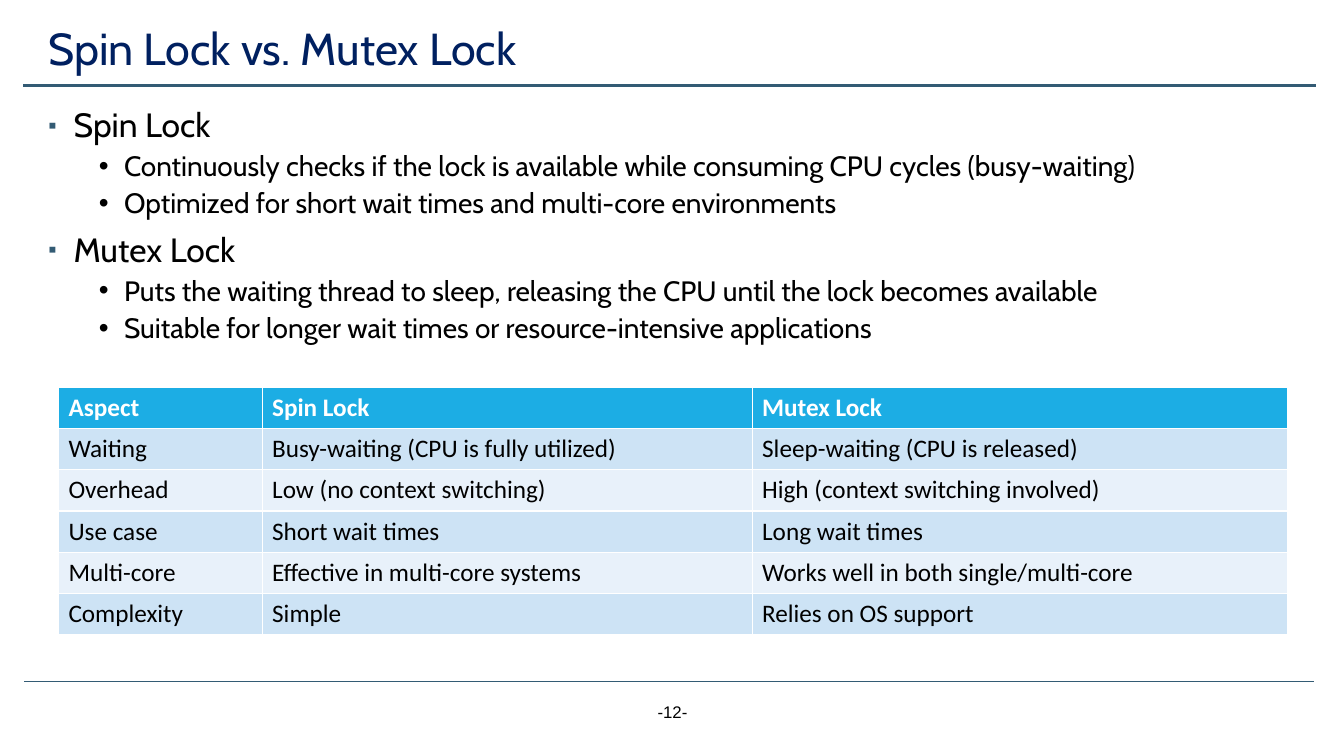
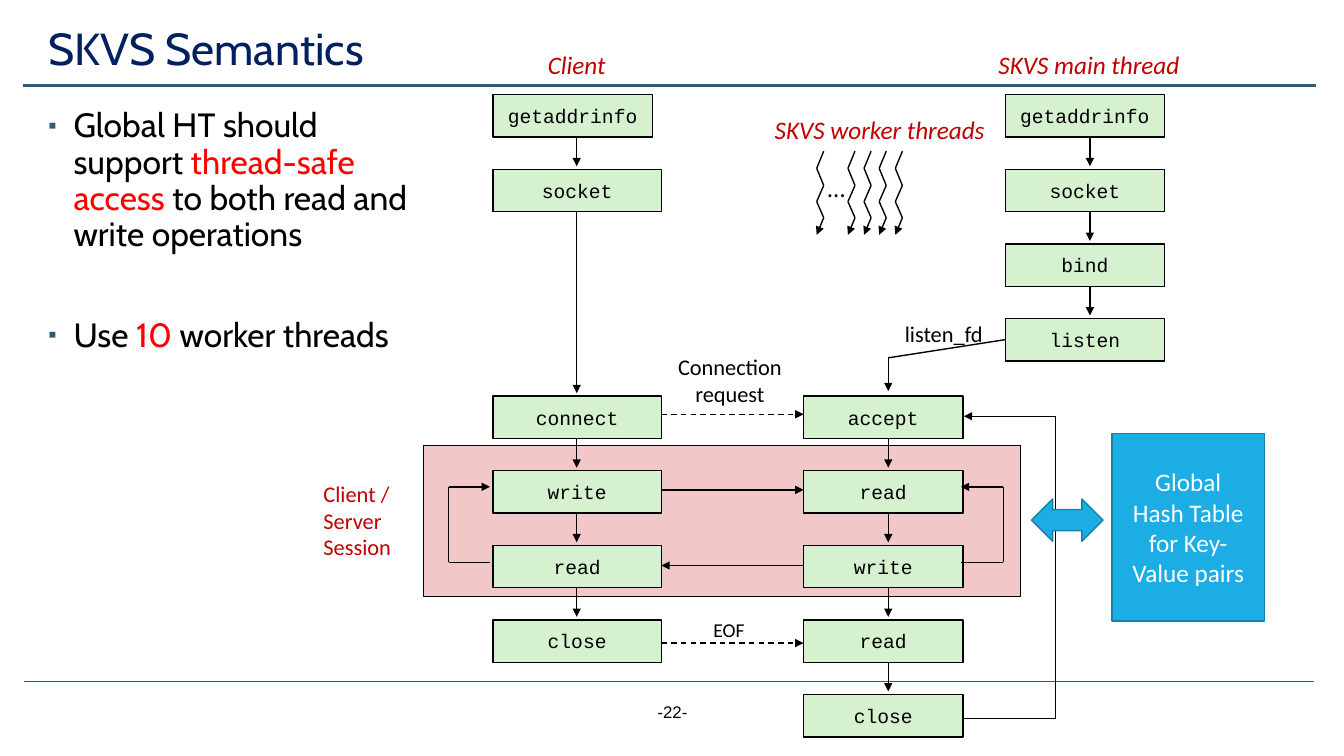
from itertools import pairwise

from lxml.etree import SubElement
from pptx import Presentation
from pptx.dml.color import RGBColor
from pptx.enum.dml import MSO_LINE
from pptx.enum.shapes import MSO_CONNECTOR, MSO_SHAPE
from pptx.enum.text import MSO_ANCHOR, MSO_AUTO_SIZE, PP_ALIGN
from pptx.oxml.ns import qn
from pptx.util import Emu, Pt

PX = 9144
SLIDE_SIZE = (1333, 750)

BLACK = RGBColor(0x00, 0x00, 0x00)
WHITE = RGBColor(0xFF, 0xFF, 0xFF)
NAVY = RGBColor(0x00, 0x20, 0x60)
SLATE = RGBColor(0x33, 0x5B, 0x74)
RED = RGBColor(0xFF, 0x00, 0x00)
CRIMSON = RGBColor(0xC0, 0x00, 0x00)
CYAN = RGBColor(0x1C, 0xAD, 0xE4)
CYAN_EDGE = RGBColor(0x15, 0x80, 0xA9)
GREEN = RGBColor(0xD5, 0xF1, 0xCF)
PINK = RGBColor(0xF1, 0xC7, 0xC7)
BANDS = (RGBColor(0xCD, 0xE3, 0xF5), RGBColor(0xE8, 0xF1, 0xFA))

TITLE_BOX = (38, 19, 1243, 63)
BODY_BOX = (38, 103, 1243, 562)
NARROW_BODY_BOX = (38, 103, 398, 562)
NUMBER_BOX = (517, 691, 300, 40)
RULES = [((24, 676), (1303, 676), 0.5), ((23, 85), (1305, 85), 1.75)]

TITLE_FONT = {"name": "Cabin", "size": Pt(32), "color": NAVY}
NUMBER_FONT = {"name": "Arial", "size": Pt(12), "color": BLACK}
CELL_FONT = {"name": "Calibri", "size": Pt(18), "color": BLACK, "bold": False}
HEADER_FONT = CELL_FONT | {"color": WHITE, "bold": True}
CODE_FONT = {"name": "Courier New", "size": Pt(14), "color": BLACK}
LABEL_FONT = {"name": "Calibri", "size": Pt(16), "color": BLACK}
SESSION_FONT = LABEL_FONT | {"color": CRIMSON}
SMALL_FONT = LABEL_FONT | {"size": Pt(14)}
DOTS_FONT = LABEL_FONT | {"size": Pt(18)}
HEADING_FONT = DOTS_FONT | {"color": CRIMSON, "italic": True}
HASH_FONT = DOTS_FONT | {"color": WHITE}

LEVELS = [
    {"margin": 25, "size": 24, "before": 10, "bullet": "▪", "color": SLATE, "percent": 70},
    {"margin": 75, "size": 20, "before": 5, "bullet": "•", "color": BLACK, "percent": 100},
]

LOCK_POINTS = [
    (0, [("Spin Lock", BLACK)], None),
    (1, [("Continuously checks if the lock is available while consuming CPU cycles (busy-waiting)", BLACK)], None),
    (1, [("Optimized for short wait times and multi-core environments", BLACK)], None),
    (0, [("Mutex Lock", BLACK)], None),
    (1, [("Puts the waiting thread to sleep, releasing the CPU until the lock becomes available", BLACK)], None),
    (1, [("Suitable for longer wait times or resource-intensive applications", BLACK)], None),
]
THREAD_POINTS = [
    (0, [("Global HT should support ", BLACK), ("thread-safe access", RED),
         (" to both read and write operations", BLACK)], None),
    (0, [("Use ", BLACK), ("10 ", RED), ("worker threads", BLACK)], 46),
]

TABLE_ORIGIN = (58, 384)
COLUMN_WIDTHS = (202, 486, 531)
ROW_HEIGHT = 41
LOCK_TABLE = [
    ("Aspect", "Spin Lock", "Mutex Lock"),
    ("Waiting", "Busy-waiting (CPU is fully utilized)", "Sleep-waiting (CPU is released)"),
    ("Overhead", "Low (no context switching)", "High (context switching involved)"),
    ("Use case", "Short wait times", "Long wait times"),
    ("Multi-core", "Effective in multi-core systems", "Works well in both single/multi-core"),
    ("Complexity", "Simple", "Relies on OS support"),
]

STEP_HEIGHT = 42
STEP_PITCH = 74
ARROW_GAP = 3
SETUP_TOP = 94
SERVICE_TOP = 393
STACKS = [
    {"left": 489, "width": 167, "axis": 572,
     "setup": ["getaddrinfo", "socket"], "service": ["connect", "write", "read", "close"]},
    {"left": 797, "width": 158, "axis": 881,
     "setup": [], "service": ["accept", "read", "write", "read", "close"]},
    {"left": 997, "width": 158, "axis": 1081,
     "setup": ["getaddrinfo", "socket", "bind", "listen"], "service": []},
]
GETADDRINFO_WIDTH = 158
SESSION_BOX = (420, 442, 592, 150)
HASH_BOX = (1103, 430, 151, 186)
HASH_ARROW_BOX = (1023, 495, 71, 42)
FLOWS = [
    ([(656, 411), (797, 411)], True),
    ([(656, 486), (797, 486)], False),
    ([(797, 561), (656, 561)], False),
    ([(656, 638), (797, 638)], True),
    ([(997, 337), (881, 355), (881, 388)], False),
    ([(953, 558), (995, 558), (995, 483), (953, 483)], False),
    ([(486, 558), (445, 558), (445, 483), (486, 483)], False),
    ([(955, 713), (1047, 713), (1047, 413), (956, 413)], False),
]
WORKER_LEFTS = (810, 841, 857, 872, 888)
WORKER_TOP = 150
ZIGZAG = [(7, 0), (0, 17), (7, 34), (0, 50), (7, 66), (0, 83)]
CENTER, LEFT = PP_ALIGN.CENTER, PP_ALIGN.LEFT
LABELS = [
    (["Client / Server", "Session"], (311, 471, 92, 90), SESSION_FONT, LEFT, True),
    (["Client"], (522, 39, 100, 50), HEADING_FONT, CENTER, False),
    (["SKVS main thread"], (979, 44, 202, 40), HEADING_FONT, CENTER, False),
    (["SKVS worker threads"], (757, 108, 231, 40), HEADING_FONT, CENTER, False),
    (["Connection", "request"], (661, 345, 126, 64), LABEL_FONT, CENTER, False),
    (["listen_fd"], (887, 312, 98, 37), LABEL_FONT, CENTER, False),
    (["EOF"], (697, 608, 52, 34), SMALL_FONT, CENTER, False),
    (["…"], (811, 166, 38, 40), DOTS_FONT, LEFT, False),
]


def emu(values):
    return [Emu(value * PX) for value in values]


def format_font(font, formats):
    for name, value in formats.items():
        if name == "color":
            font.color.rgb = value
        else:
            setattr(font, name, value)


def place(shape, box):
    for name, value in zip(("left", "top", "width", "height"), emu(box)):
        setattr(shape, name, value)


def write_lines(frame, lines, formats, alignment=CENTER, wrap=False, anchor=MSO_ANCHOR.MIDDLE):
    frame.word_wrap = wrap
    frame.vertical_anchor = anchor
    for index, line in enumerate(lines):
        paragraph = frame.add_paragraph() if index else frame.paragraphs[0]
        paragraph.alignment = alignment
        run = paragraph.add_run()
        run.text = line
        format_font(run.font, formats)


def add_label(slide, lines, box, formats, alignment=CENTER, wrap=False, anchor=MSO_ANCHOR.MIDDLE):
    label = slide.shapes.add_textbox(*emu(box))
    write_lines(label.text_frame, lines, formats, alignment, wrap, anchor)


def add_block(slide, box, fill, edge, preset=MSO_SHAPE.RECTANGLE):
    block = slide.shapes.add_shape(preset, *emu(box))
    block.shadow.inherit = False
    block.fill.solid()
    block.fill.fore_color.rgb = fill
    block.line.color.rgb = edge
    block.line.width = Pt(1)
    return block


def add_line(slide, start, end, color=BLACK, width=1, dashed=False, arrow=False):
    line = slide.shapes.add_connector(MSO_CONNECTOR.STRAIGHT, *emu((*start, *end)))
    line.line.color.rgb = color
    line.line.width = Pt(width)
    if dashed:
        line.line.dash_style = MSO_LINE.DASH
    if arrow:
        SubElement(line.line._get_or_add_ln(), qn("a:tailEnd"), type="triangle")
    SubElement(line._element.spPr, qn("a:effectLst"))
    return line


def add_path(slide, points, dashed=False):
    segments = list(pairwise(points))
    for index, (start, end) in enumerate(segments, 1):
        add_line(slide, start, end, dashed=dashed, arrow=index == len(segments))


def add_rules(slide, layout):
    for identifier, (start, end, width) in enumerate(RULES, 20):
        line = add_line(slide, start, end, SLATE, width)
        line._element.xpath("./p:nvCxnSpPr/p:cNvPr")[0].set("id", str(identifier))
        layout.shapes.element.append(line._element)


def set_bullet(paragraph, level):
    properties = paragraph._p.get_or_add_pPr()
    properties.set("marL", str(level["margin"] * PX))
    properties.set("indent", str(-25 * PX))
    color = SubElement(properties, qn("a:buClr"))
    SubElement(color, qn("a:srgbClr"), val=str(level["color"]))
    SubElement(properties, qn("a:buSzPct"), val=str(level["percent"] * 1000))
    SubElement(properties, qn("a:buFont"), typeface="Arial")
    SubElement(properties, qn("a:buChar"), char=level["bullet"])


def fill_body(body, points):
    body.fill.solid()
    body.fill.fore_color.rgb = WHITE
    frame = body.text_frame
    frame.auto_size = MSO_AUTO_SIZE.NONE
    for index, (depth, parts, before) in enumerate(points):
        level = LEVELS[depth]
        paragraph = frame.add_paragraph() if index else frame.paragraphs[0]
        paragraph.level = depth
        paragraph.line_spacing = 0.9
        paragraph.space_before = Pt(before or level["before"])
        set_bullet(paragraph, level)
        for text, color in parts:
            run = paragraph.add_run()
            run.text = text
            format_font(run.font, {"name": "Cabin", "size": Pt(level["size"]), "color": color})


def add_content_slide(presentation, layout, title, number, points):
    slide = presentation.slides.add_slide(layout)
    frame = slide.shapes.title.text_frame
    frame.auto_size = MSO_AUTO_SIZE.NONE
    write_lines(frame, [title], TITLE_FONT, LEFT, True)
    frame.paragraphs[0].line_spacing = 0.9
    fill_body(slide.placeholders[1], points)
    add_label(slide, [f"-{number}-"], NUMBER_BOX, NUMBER_FONT, wrap=True, anchor=MSO_ANCHOR.TOP)
    return slide


def add_lock_table(slide):
    size = (sum(COLUMN_WIDTHS), ROW_HEIGHT * len(LOCK_TABLE))
    table = slide.shapes.add_table(len(LOCK_TABLE), len(COLUMN_WIDTHS), *emu(TABLE_ORIGIN + size)).table
    for column, width in zip(table.columns, emu(COLUMN_WIDTHS)):
        column.width = width
    for row, texts in enumerate(LOCK_TABLE):
        for column, text in enumerate(texts):
            cell = table.cell(row, column)
            cell.fill.solid()
            cell.fill.fore_color.rgb = BANDS[(row - 1) % 2] if row else CYAN
            run = cell.text_frame.paragraphs[0].add_run()
            run.text = text
            format_font(run.font, CELL_FONT if row else HEADER_FONT)


def add_stack(slide, stack):
    steps = [(name, top + STEP_PITCH * index)
             for names, top in ((stack["setup"], SETUP_TOP), (stack["service"], SERVICE_TOP))
             for index, name in enumerate(names)]
    for (_, upper), (_, lower) in pairwise(steps):
        add_path(slide, [(stack["axis"], upper + STEP_HEIGHT), (stack["axis"], lower - ARROW_GAP)])
    for name, top in steps:
        width = GETADDRINFO_WIDTH if name == "getaddrinfo" else stack["width"]
        block = add_block(slide, (stack["left"], top, width, STEP_HEIGHT), GREEN, BLACK)
        write_lines(block.text_frame, [name], CODE_FONT)


def add_thread_diagram(slide):
    add_block(slide, SESSION_BOX, PINK, BLACK)
    for stack in STACKS:
        add_stack(slide, stack)
    for points, dashed in FLOWS:
        add_path(slide, points, dashed)
    for left in WORKER_LEFTS:
        add_path(slide, [(left + x, WORKER_TOP + y) for x, y in ZIGZAG])
    hash_table = add_block(slide, HASH_BOX, CYAN, CYAN_EDGE)
    write_lines(hash_table.text_frame, ["Global", "Hash Table", "for Key-Value pairs"], HASH_FONT, wrap=True)
    add_block(slide, HASH_ARROW_BOX, CYAN, CYAN_EDGE, MSO_SHAPE.LEFT_RIGHT_ARROW)
    for label in LABELS:
        add_label(slide, *label)


def main():
    presentation = Presentation()
    presentation.slide_width, presentation.slide_height = emu(SLIDE_SIZE)
    layout = presentation.slide_layouts[1]
    for placeholder, box in zip(layout.placeholders, (TITLE_BOX, BODY_BOX)):
        place(placeholder, box)

    lock_slide = add_content_slide(presentation, layout, "Spin Lock vs. Mutex Lock", 12, LOCK_POINTS)
    add_rules(lock_slide, layout)
    add_lock_table(lock_slide)

    thread_slide = add_content_slide(presentation, layout, "SKVS Semantics", 22, THREAD_POINTS)
    place(thread_slide.placeholders[1], NARROW_BODY_BOX)
    add_thread_diagram(thread_slide)

    presentation.save("out.pptx")


if __name__ == "__main__":
    main()
